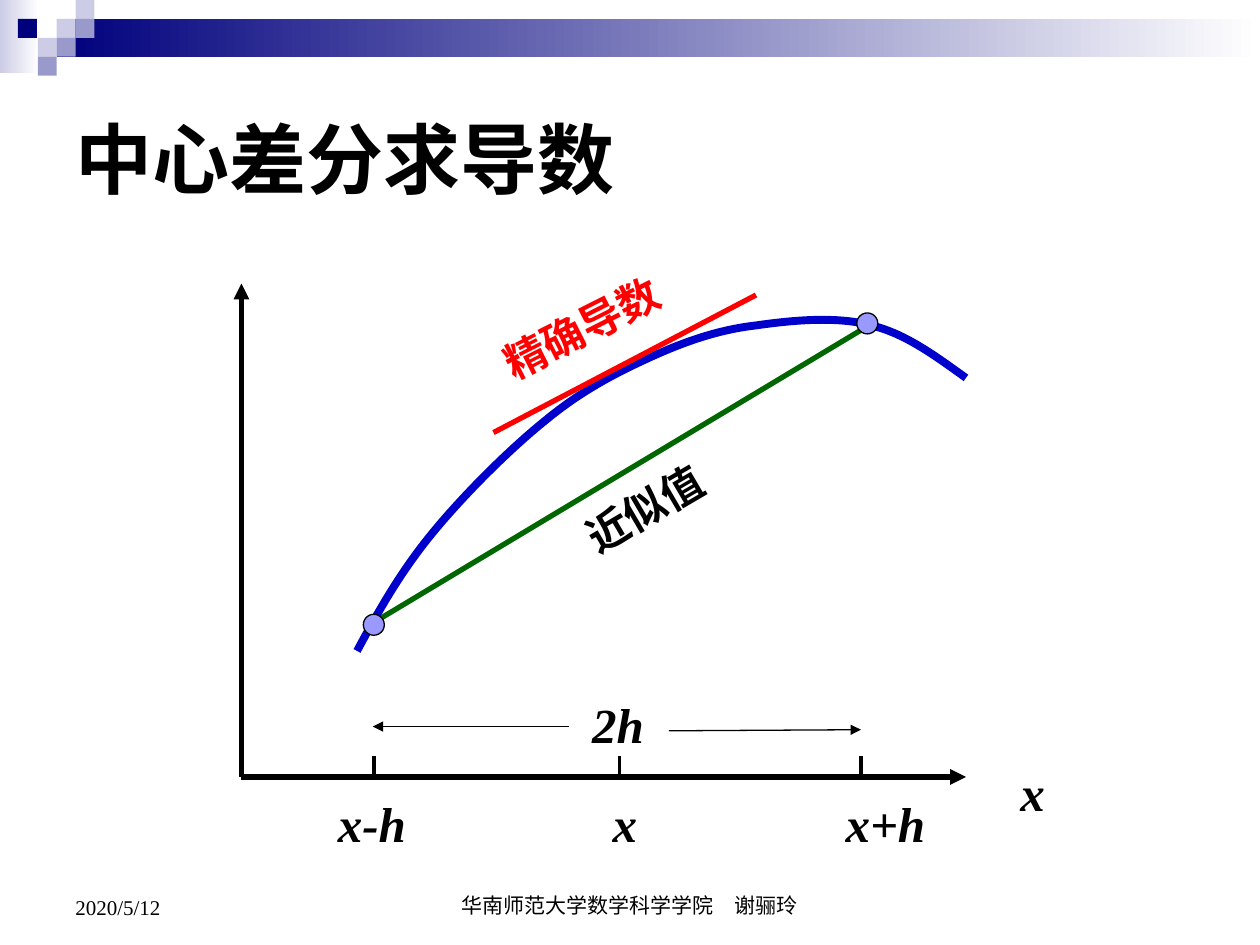
from dataclasses import dataclass

from lxml.etree import SubElement
from pptx import Presentation
from pptx.dml.color import RGBColor
from pptx.enum.shapes import MSO_CONNECTOR, MSO_SHAPE
from pptx.enum.text import MSO_ANCHOR, PP_ALIGN
from pptx.oxml.ns import qn
from pptx.util import Inches, Pt


@dataclass(frozen=True)
class Theme:
    font: str = "Times New Roman"
    ink: str = "000000"
    white: str = "FFFFFF"
    navy: str = "00007D"
    violet: str = "9999CC"
    lilac: str = "CCCCE6"
    curve: str = "0000CC"
    chord: str = "006600"
    tangent: str = "FF0000"
    point: str = "9999FF"
    title_size: int = 44
    symbol_size: int = 28
    label_size: int = 24
    footer_size: int = 12


@dataclass(frozen=True)
class Box:
    """An area of the slide, in cells of a grid of 120 columns by 90 rows."""
    column: float
    row: float
    columns: float
    rows: float

    def point(self, column, row):
        return grid(self.column + column), grid(self.row + row)

    def inner(self, column, row, columns, rows):
        return Box(self.column + column, self.row + row, columns, rows)

    def frame(self):
        return *self.point(0, 0), grid(self.columns), grid(self.rows)


THEME = Theme()
COLUMNS, ROWS = 120, 90


def grid(cells):
    return Inches(cells / 12)


def color(value):
    return RGBColor.from_string(value)


def format_text(shape, text, size, ink=THEME.ink, bold=False, italic=False,
                align=PP_ALIGN.LEFT, anchor=MSO_ANCHOR.TOP):
    frame = shape.text_frame
    frame.text = text
    frame.word_wrap = True
    frame.vertical_anchor = anchor
    paragraph = frame.paragraphs[0]
    paragraph.alignment = align
    font = paragraph.runs[0].font
    font.name, font.size = THEME.font, Pt(size)
    font.bold, font.italic = bold, italic
    font.color.rgb = color(ink)
    return paragraph


def add_text(slide, box, text, size, rotation=0, **style):
    shape = slide.shapes.add_textbox(*box.frame())
    shape.rotation = rotation
    return format_text(shape, text, size, **style)


def add_line(slide, start, end, ink=THEME.ink, width=3, arrow=False):
    line = slide.shapes.add_connector(MSO_CONNECTOR.STRAIGHT, *start, *end)
    line.line.color.rgb = color(ink)
    line.line.width = Pt(width)
    properties = line._element.spPr
    if arrow:
        SubElement(properties.find(qn("a:ln")), qn("a:tailEnd"), type="triangle")
    SubElement(properties, qn("a:effectLst"))


def add_filled(slide, kind, box, *fills):
    """Fill with one colour, or with a left-to-right gradient of two."""
    shape = slide.shapes.add_shape(kind, *box.frame())
    shape.shadow.inherit = False
    shape.line.fill.background()
    if len(fills) == 1:
        shape.fill.solid()
        shape.fill.fore_color.rgb = color(fills[0])
    else:
        shape.fill.gradient()
        shape.fill.gradient_angle = 0
        for stop, position, value in zip(shape.fill.gradient_stops, (0, 1), fills):
            stop.position = position
            stop.color.rgb = color(value)
    return shape


def add_bezier(slide, points, ink, width):
    """Draw a cubic curve; after the start, points come as two controls and a knot."""
    builder = slide.shapes.build_freeform(*points[0], scale=1.0)
    builder.add_line_segments(points[1:], close=False)
    shape = builder.convert_to_shape()
    shape.shadow.inherit = False
    shape.fill.background()
    shape.line.color.rgb = color(ink)
    shape.line.width = Pt(width)
    outline = next(shape._element.iter(qn("a:path")))
    for index, segment in enumerate(outline.findall(qn("a:lnTo"))):
        if index % 3 == 0:
            cubic = SubElement(outline, qn("a:cubicBezTo"))
        cubic.append(segment[0])
        outline.remove(segment)


def draw_header(slide, box):
    side = 1.8
    left = box.columns - 114.6
    add_filled(slide, MSO_SHAPE.RECTANGLE, box.inner(0, 0, 3.7, 7), THEME.lilac, THEME.white)
    add_filled(slide, MSO_SHAPE.RECTANGLE, box.inner(left, side, 114.6, 2 * side),
               THEME.navy, THEME.white)
    tiles = ((0, 1, THEME.lilac), (1, 0, THEME.lilac), (1, 1, THEME.violet),
             (-1, 2, THEME.lilac), (-2.05, 1, THEME.navy), (0, 2, THEME.violet),
             (-1, 3, THEME.violet))
    for column, row, fill in tiles:
        tile = box.inner(left + column * side, row * side, side, side)
        add_filled(slide, MSO_SHAPE.RECTANGLE, tile, fill)


def draw_title(slide, box):
    title = slide.shapes.title
    title.left, title.top, title.width, title.height = box.frame()
    format_text(title, "中心差分求导数", THEME.title_size, bold=True, anchor=MSO_ANCHOR.MIDDLE)


def draw_axes(slide, box):
    origin = box.point(0, box.rows)
    for end in (box.point(box.columns, box.rows), box.point(0, 0)):
        add_line(slide, origin, end, arrow=True)
    for column in (12.6, 36, 59):
        add_line(slide, box.point(column, box.rows - 2), box.point(column, box.rows), width=2.25)
    for start, end in (((40.7, 42.6), (59, 42.5)), ((31.2, 42.2), (12.5, 42.2))):
        add_line(slide, box.point(*start), box.point(*end), width=0.75, arrow=True)

    symbol = dict(size=THEME.symbol_size, bold=True, italic=True)
    ticks = add_text(slide, box.inner(8, 48, 66, 6.8), "x-h\tx\tx+h", **symbol)
    tabs = SubElement(ticks._p.get_or_add_pPr(), qn("a:tabLst"))
    for position in (2.18, 4.03):
        SubElement(tabs, qn("a:tab"), pos=str(Inches(position)), algn="l")
    add_text(slide, box.inner(73, 45, 8, 6.8), "x", **symbol)
    add_text(slide, box.inner(31.7, 38.6, 8.3, 6.8), "2h", align=PP_ALIGN.CENTER, **symbol)


def draw_derivative(slide, box):
    add_line(slide, box.point(12.4, 32.4), box.point(59.4, 4.2), THEME.chord)
    curve = ((11, 35), (13, 31.3), (15, 27.7), (18, 24), (21, 20.3), (25.5, 15.8), (29, 13),
             (32.4, 10.2), (35.7, 8.5), (39, 7), (42.3, 5.5), (45.5, 4.4), (49, 4),
             (52.5, 3.5), (56.7, 3.1), (60, 4), (63.3, 4.8), (66.2, 7), (69, 9))
    add_bezier(slide, [box.point(*place) for place in curve], THEME.curve, 4.5)
    add_line(slide, box.point(24, 14.2), box.point(49, 1.1), THEME.tangent)
    for column, row in ((12.6, 32.5), (59.6, 3.8)):
        marker = add_filled(slide, MSO_SHAPE.OVAL, box.inner(column - 1, row - 1, 2, 2),
                            THEME.point)
        marker.line.color.rgb = color(THEME.ink)
        marker.line.width = Pt(0.75)
    label = dict(size=THEME.label_size, bold=True, align=PP_ALIGN.CENTER)
    add_text(slide, box.inner(17.2, 1.2, 30.4, 6), "精确导数",
             rotation=333.2, ink=THEME.tangent, **label)
    add_text(slide, box.inner(23.4, 18.4, 30, 6), "近似值", rotation=329.7, **label)


def draw_footer(slide, box):
    style = dict(size=THEME.footer_size, anchor=MSO_ANCHOR.BOTTOM)
    add_text(slide, box.inner(0, 0, 28, 6.2), "2020/5/12", **style)
    add_text(slide, box.inner(35, 0, 38, 6), "华南师范大学数学科学学院　谢骊玲",
             align=PP_ALIGN.CENTER, **style)


def main():
    presentation = Presentation()
    presentation.slide_width, presentation.slide_height = grid(COLUMNS), grid(ROWS)
    slide = presentation.slides.add_slide(presentation.slide_layouts.get_by_name("Title Only"))
    plot = Box(23, 27, 69, 47)
    draw_header(slide, Box(0, 0, COLUMNS, 7))
    draw_title(slide, Box(6, 6, 108, 18))
    draw_derivative(slide, plot)
    draw_axes(slide, plot)
    draw_footer(slide, Box(6, 82, 108, 6.2))
    presentation.save("out.pptx")


if __name__ == "__main__":
    main()
